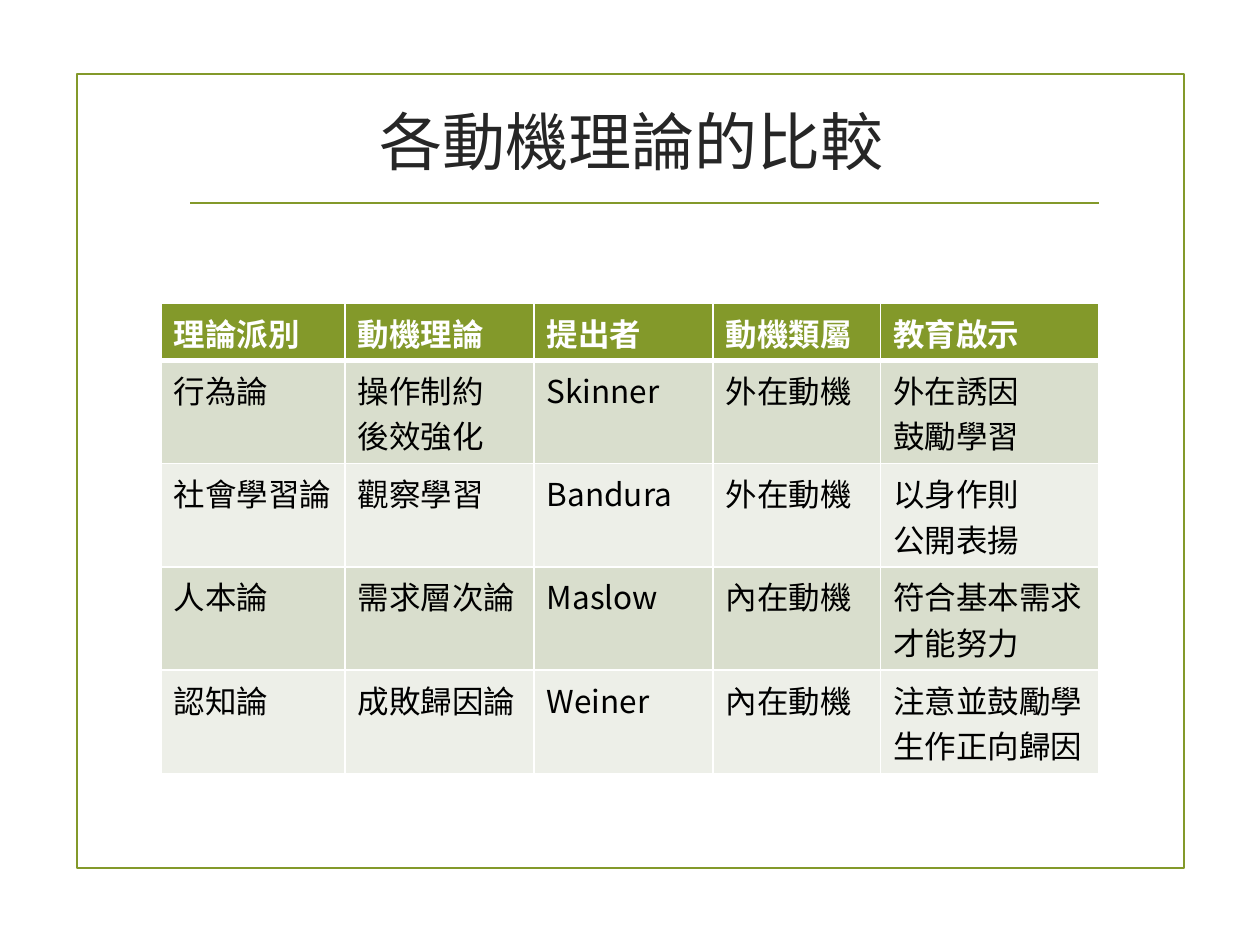
from lxml import etree
from pptx import Presentation
from pptx.dml.color import RGBColor
from pptx.enum.shapes import MSO_CONNECTOR, MSO_SHAPE
from pptx.enum.text import MSO_ANCHOR, PP_ALIGN
from pptx.oxml.ns import qn
from pptx.util import Inches, Pt

LINE = MSO_CONNECTOR.STRAIGHT
RECT = MSO_SHAPE.RECTANGLE
MIDDLE = MSO_ANCHOR.MIDDLE
LEFT, CENTER = PP_ALIGN.LEFT, PP_ALIGN.CENTER

FONT = "Noto Sans CJK JP"
GREEN, WHITE, BLACK, GREY = "83992A", "FFFFFF", "000000", "262626"
BANDS = ["D9DECD", "EDEFE8"]

TITLE = "各動機理論的比較"
ROWS = [
    ["理論派別", "動機理論", "提出者", "動機類屬", "教育啟示"],
    ["行為論", "操作制約\n後效強化", "Skinner", "外在動機", "外在誘因\n鼓勵學習"],
    ["社會學習論", "觀察學習", "Bandura", "外在動機", "以身作則\n公開表揚"],
    ["人本論", "需求層次論", "Maslow", "內在動機", "符合基本需求才能努力"],
    ["認知論", "成敗歸因論", "Weiner", "內在動機", "注意並鼓勵學生作正向歸因"],
]
COLS = [1.46, 1.5, 1.42, 1.33, 1.73]
HEAD, BODY = 0.45, 0.82


def color(code):
    return RGBColor.from_string(code)


def write(frame, text, size=18, code=BLACK, bold=False, align=LEFT):
    """Fill a text frame, one paragraph for each line of text."""
    frame.word_wrap = True
    for i, line in enumerate(text.split("\n")):
        para = frame.paragraphs[0] if i == 0 else frame.add_paragraph()
        para.alignment = align
        run = para.add_run()
        run.text = line
        font = run.font
        font.size, font.bold, font.name = Pt(size), bold, FONT
        font.color.rgb = color(code)
        etree.SubElement(run._r.get_or_add_rPr(), qn("a:ea"), typeface=FONT)


def edge(cell, side, width):
    """Add a white border to one side; call before the cell is filled."""
    line = etree.SubElement(cell._tc.get_or_add_tcPr(), qn("a:ln" + side),
                            w=str(Pt(width)))
    fill = etree.SubElement(line, qn("a:solidFill"))
    etree.SubElement(fill, qn("a:srgbClr"), val=WHITE)


def stroke(shape):
    shape.line.color.rgb = color(GREEN)
    shape.line.width = Pt(1.25)


def add_frame(slide):
    box = slide.shapes.add_shape(
        RECT, *map(Inches, (0.61, 0.59, 8.79, 6.3)))
    box.shadow.inherit = False
    box.fill.background()
    stroke(box)
    rule = slide.shapes.add_connector(
        LINE, *map(Inches, (1.51, 1.61, 8.72, 1.61)))
    etree.SubElement(rule._element.spPr, qn("a:effectLst"))
    stroke(rule)


def add_title(slide):
    box = slide.shapes.add_textbox(*map(Inches, (1.29, 0.72, 7.44, 0.79)))
    box.text_frame.vertical_anchor = MIDDLE
    write(box.text_frame, TITLE, size=36, code=GREY, align=CENTER)


def add_grid(slide):
    high = HEAD + BODY * (len(ROWS) - 1)
    table = slide.shapes.add_table(
        len(ROWS), len(COLS),
        *map(Inches, (1.28, 2.41, sum(COLS), high))).table
    for col, width in zip(table.columns, COLS):
        col.width = Inches(width)
    for r, row in enumerate(ROWS):
        head = r == 0
        table.rows[r].height = Inches(HEAD if head else BODY)
        widths = {"L": 1, "R": 1, "T": 3 if r == 1 else 1, "B": 3 if head else 1}
        for c, text in enumerate(row):
            cell = table.cell(r, c)
            for side, width in widths.items():
                edge(cell, side, width)
            cell.fill.solid()
            cell.fill.fore_color.rgb = color(GREEN if head else BANDS[(r - 1) % 2])
            write(cell.text_frame, text, code=WHITE if head else BLACK, bold=head)


def main():
    deck = Presentation()
    deck.slide_width, deck.slide_height = Inches(10), Inches(7.5)
    slide = deck.slides.add_slide(deck.slide_layouts[6])
    add_frame(slide)
    add_title(slide)
    add_grid(slide)
    deck.save("out.pptx")


if __name__ == "__main__":
    main()
